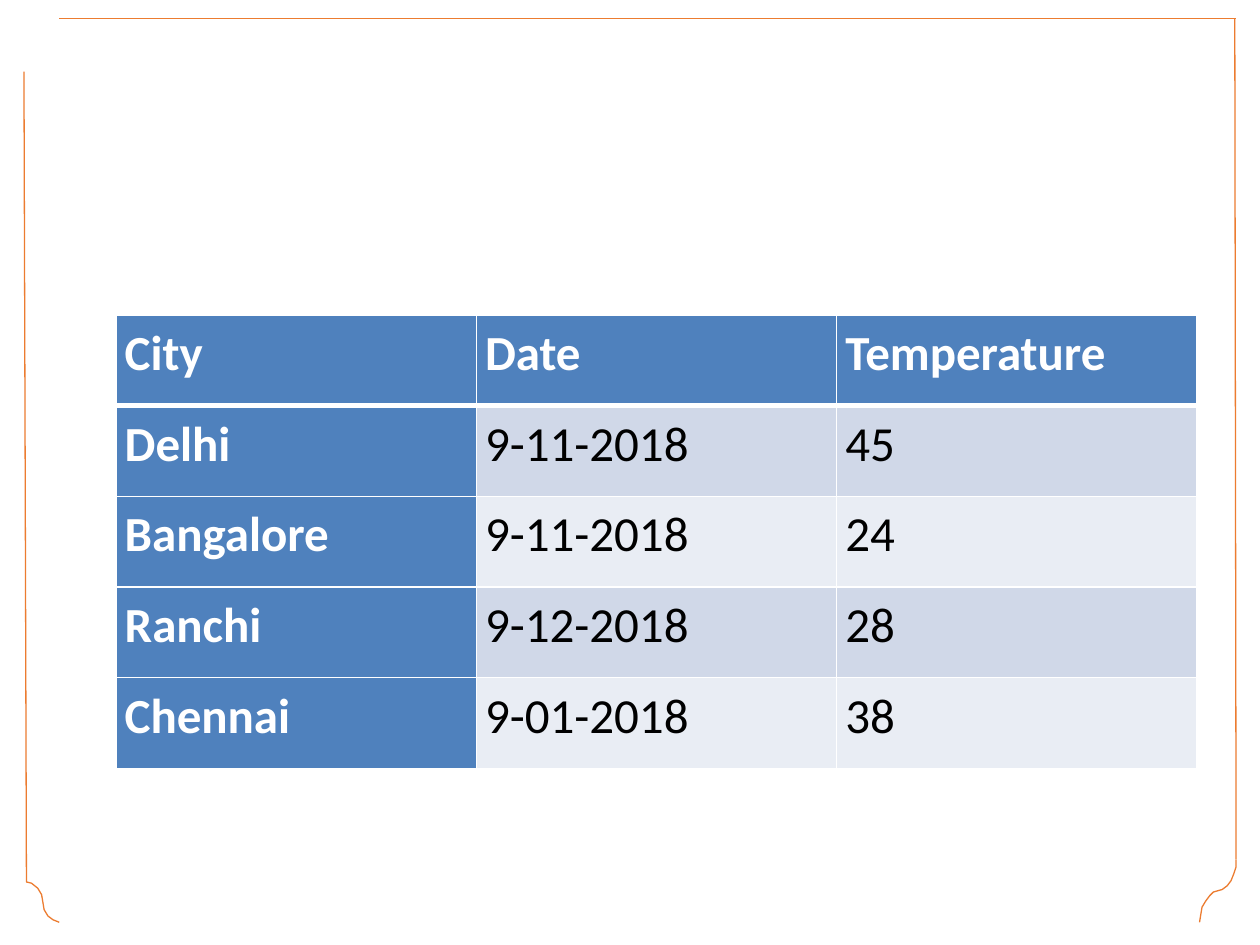
"""Build a slide with a framed table of city temperatures."""
from lxml import etree
from pptx import Presentation
from pptx import util as u
from pptx.dml.color import RGBColor
from pptx.oxml import ns

HEADINGS = ["City", "Date", "Temperature"]
READINGS = [
    ("Delhi", "9-11-2018", "45"),
    ("Bangalore", "9-11-2018", "24"),
    ("Ranchi", "9-12-2018", "28"),
    ("Chennai", "9-01-2018", "38"),
]
COLORS = {
    "frame": "EC7C30",
    "heading": "4F81BD",
    "odd": "D0D8E8",
    "even": "E9EDF4",
    "light": "FFFFFF",
    "dark": "000000",
}
FRAME_SIDES = [
    [(0.19, 0.57), (0.21, 7), (0.25, 7.01), (0.3, 7.05), (0.33, 7.1), (0.34, 7.16),
     (0.35, 7.22), (0.38, 7.27), (0.42, 7.3), (0.47, 7.32)],
    [(9.8, 0.15), (9.81, 6.82)],
    [(0.47, 0.15), (9.81, 0.15)],
]
FRAME_CORNER = [
    [(9.81, 6.82), (9.81, 6.88), (9.79, 6.94), (9.77, 6.99), (9.74, 7.03), (9.7, 7.06),
     (9.63, 7.08), (9.6, 7.11), (9.57, 7.15), (9.54, 7.2), (9.53, 7.26), (9.52, 7.32)],
]
TABLE_LEFT, TABLE_TOP = 0.92, 2.5
COLUMN_WIDTH, ROW_HEIGHT = 2.86, 0.72


def rgb(name):
    return RGBColor.from_string(COLORS[name])


def add_frame(slide, strokes):
    first, *others = [[(u.Inches(x), u.Inches(y)) for x, y in stroke] for stroke in strokes]
    outline = slide.shapes.build_freeform(*first[0])
    outline.add_line_segments(first[1:], close=False)
    for stroke in others:
        outline.move_to(*stroke[0])
        outline.add_line_segments(stroke[1:], close=False)
    frame = outline.convert_to_shape()
    frame.shadow.inherit = False
    frame.fill.background()
    frame.line.color.rgb = rgb("frame")
    frame.line.width = u.Pt(0.75)


def set_borders(cell, **widths):
    properties = cell._tc.get_or_add_tcPr()
    for index, side in enumerate("LRTB"):
        border = etree.Element(ns.qn(f"a:ln{side}"), w=str(u.Pt(widths.get(side, 1))))
        fill = etree.SubElement(border, ns.qn("a:solidFill"))
        etree.SubElement(fill, ns.qn("a:srgbClr"), val=COLORS["light"])
        properties.insert(index, border)


def write(cell, words, color="dark", bold=False, size=28):
    cell.margin_left = cell.margin_right = u.Inches(0.07)
    cell.margin_top = cell.margin_bottom = 0
    paragraph = cell.text_frame.paragraphs[0]
    paragraph.line_spacing = 1.15
    run = paragraph.add_run()
    run.text = words
    run.font.name = "Calibri"
    run.font.size = u.Pt(size)
    run.font.bold = bold
    run.font.color.rgb = rgb(color)


def add_readings(slide):
    rows = [HEADINGS, *READINGS]
    readings = slide.shapes.add_table(
        len(rows), len(HEADINGS), u.Inches(TABLE_LEFT), u.Inches(TABLE_TOP),
        u.Inches(COLUMN_WIDTH * len(HEADINGS)), u.Inches(ROW_HEIGHT * len(rows))).table
    for column in readings.columns:
        column.width = u.Inches(COLUMN_WIDTH)
    for r, row in enumerate(rows):
        readings.rows[r].height = u.Inches(ROW_HEIGHT)
        for c, words in enumerate(row):
            cell = readings.cell(r, c)
            is_heading = r == 0 or c == 0
            band = "odd" if r % 2 else "even"
            cell.fill.solid()
            cell.fill.fore_color.rgb = rgb("heading" if is_heading else band)
            write(cell, words, color="light" if is_heading else "dark", bold=is_heading)
            set_borders(cell, T=3 if r == 1 else 1, B=3 if r == 0 else 1)


def main():
    deck = Presentation()
    deck.slide_width, deck.slide_height = u.Inches(10), u.Inches(7.5)
    slide = deck.slides.add_slide(deck.slide_layouts[6])
    for strokes in (FRAME_SIDES, FRAME_CORNER):
        add_frame(slide, strokes)
    add_readings(slide)
    deck.save("out.pptx")


if __name__ == "__main__":
    main()
